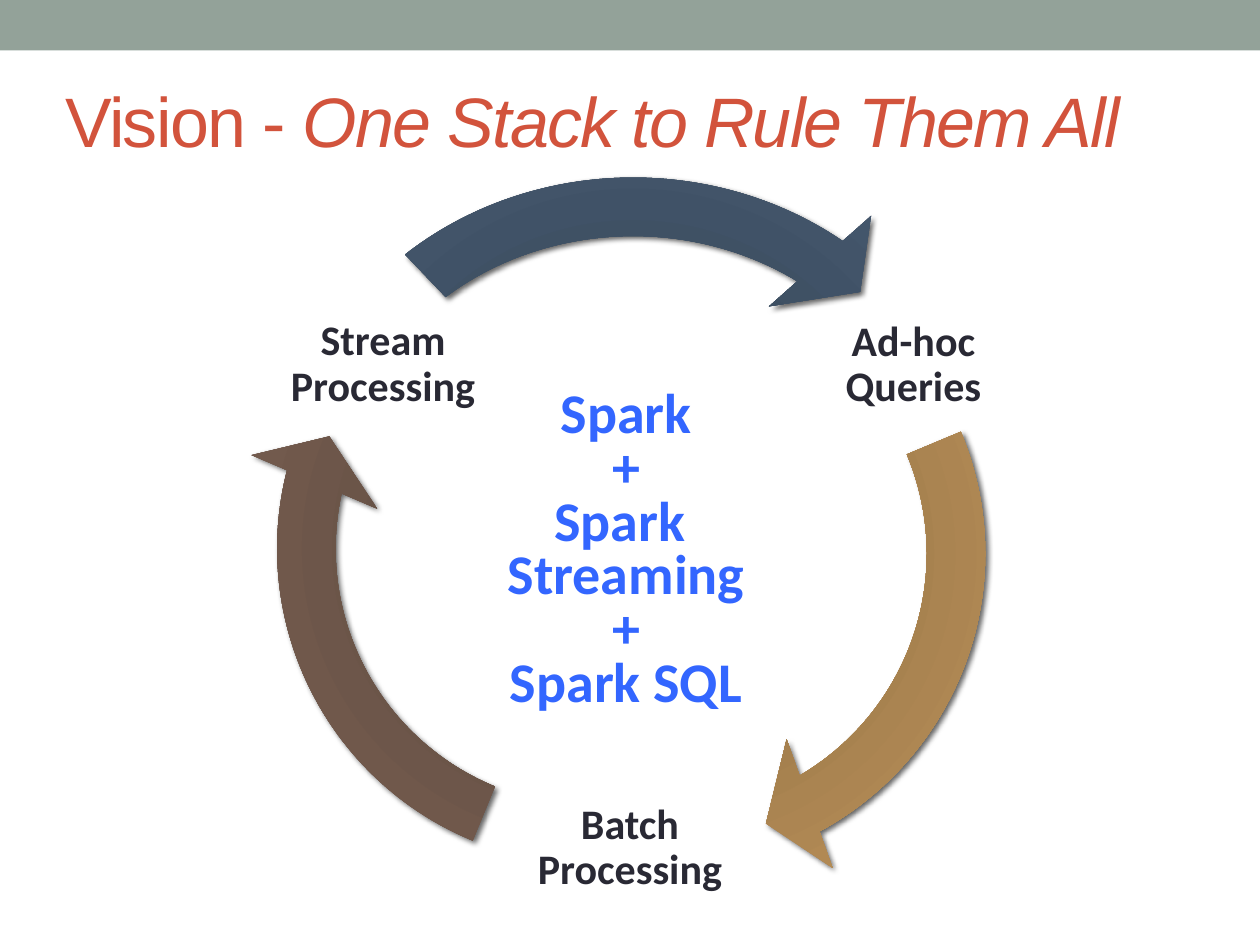
from lxml.etree import SubElement
from pptx import Presentation
from pptx.dml.color import RGBColor
from pptx.enum.shapes import MSO_SHAPE
from pptx.enum.text import MSO_ANCHOR, MSO_AUTO_SIZE, PP_ALIGN
from pptx.oxml import parse_xml
from pptx.oxml.ns import nsdecls, qn
from pptx.util import Inches, Pt

SAGE = RGBColor(0x93, 0xA2, 0x99)
RED = RGBColor(0xD2, 0x53, 0x3C)
INK = RGBColor(0x29, 0x29, 0x34)
BLUE = RGBColor(0x33, 0x66, 0xFF)

TITLE = [("Vision - ", False), ("One Stack to Rule Them All", True)]
STACK = ["Spark", "+", "Spark ", "Streaming", "+", "Spark SQL"]
# text, (left, top, width, height), anchor
LABELS = [
    ("Ad-hoc Queries", (6.2, 2.51, 2.1, 1.1), MSO_ANCHOR.TOP),
    ("Batch Processing", (4.03, 5.97, 1.94, 1.53), MSO_ANCHOR.MIDDLE),
    ("Stream Processing", (1.92, 2.38, 2.24, 1.03), MSO_ANCHOR.MIDDLE),
]
# (left, top, width, height), rotation, start and end angle in degrees, gradient colours
ARROWS = [
    ((2.5, 1.58, 5.63, 5.63), 356.8, 340.48, 63.94, ("A37D49", "A07C4C", "B38B55", "AD8F67")),
    ((1.89, 1.54, 5.63, 5.63), 0, 112.37, 193.49, ("685044", "665145", "725A4D", "726056")),
    ((1.95, 1.1, 6.15, 5.63), 0, 226.3, 308.84, ("3B4D61", "3C4D60", "43566B", "4C5A6A")),
]
GRADIENT_STOPS = (0, 34, 70, 100)
BAND, HEAD_WIDTH, HEAD_ANGLE = 0.08249, 0.09624, 9.59
ANGLE_UNIT = 0.6  # one degree is 60000 units; adjustments count in 100000


def set_margins(frame, horizontal, vertical):
    frame.margin_left = frame.margin_right = Inches(horizontal)
    frame.margin_top = frame.margin_bottom = Inches(vertical)


def set_font(font, name, size, color, bold=False):
    font.name, font.size, font.bold = name, Pt(size), bold
    font.color.rgb = color


def add_text(slide, lines, place, size, color, spacing):
    box = slide.shapes.add_textbox(*map(Inches, place))
    frame = box.text_frame
    frame.text = "\n".join(lines)
    for para in frame.paragraphs:
        para.alignment = PP_ALIGN.CENTER
        para.line_spacing = spacing
        for span in para.runs:
            set_font(span.font, "Calibri", size, color, bold=True)
    return frame


def paint_arrow(arrow, colors):
    """Give the arrow a circular gradient and a soft shadow."""
    stops = "".join(
        f'<a:gs pos="{stop * 1000}"><a:srgbClr val="{color}"/></a:gs>'
        for stop, color in zip(GRADIENT_STOPS, colors)
    )
    fill = parse_xml(
        f'<a:gradFill {nsdecls("a")} rotWithShape="1"><a:gsLst>{stops}</a:gsLst>'
        '<a:path path="circle"><a:fillToRect l="100000" t="100000" r="100000" b="100000"/>'
        "</a:path></a:gradFill>"
    )
    arrow.line.fill.background()
    arrow.shadow.inherit = False
    properties = arrow._element.spPr
    properties.find(qn("a:prstGeom")).addnext(fill)
    shadow = SubElement(
        properties.find(qn("a:effectLst")), qn("a:outerShdw"),
        blurRad=str(Pt(3)), dist=str(Pt(2)), dir="2700000", rotWithShape="0",
    )
    color = SubElement(shadow, qn("a:srgbClr"), val="000000")
    SubElement(color, qn("a:alpha"), val="60000")


def add_arrow(slide, place, rotation, start, end, colors):
    arrow = slide.shapes.add_shape(MSO_SHAPE.CIRCULAR_ARROW, *map(Inches, place))
    arrow.rotation = rotation
    angles = [angle * ANGLE_UNIT for angle in (HEAD_ANGLE, end, start)]
    for index, value in enumerate([BAND, *angles, HEAD_WIDTH]):
        arrow.adjustments[index] = value
    paint_arrow(arrow, colors)


def add_title(slide):
    title = slide.shapes.title
    title.left, title.top, title.width, title.height = map(Inches, (0.5, 0.51, 9.08, 0.87))
    frame = title.text_frame
    frame.auto_size = MSO_AUTO_SIZE.NONE
    frame.vertical_anchor = MSO_ANCHOR.MIDDLE
    set_margins(frame, 0.02, 0.02)
    para = frame.paragraphs[0]
    para.alignment = PP_ALIGN.LEFT
    for text, italic in TITLE:
        span = para.add_run()
        span.text = text
        set_font(span.font, "Arial", 40, RED)
        span.font.italic = italic
        span._r.get_or_add_rPr().set("spc", "-100")


def main():
    deck = Presentation()
    deck.slide_width, deck.slide_height = Inches(10), Inches(7.5)
    slide = deck.slides.add_slide(deck.slide_layouts[5])

    band = slide.shapes.add_shape(MSO_SHAPE.RECTANGLE, 0, 0, deck.slide_width, Inches(0.4))
    band.shadow.inherit = False
    band.fill.solid()
    band.fill.fore_color.rgb = SAGE
    band.line.fill.background()
    add_title(slide)

    for arrow in ARROWS:
        add_arrow(slide, *arrow)
    for text, place, anchor in LABELS:
        frame = add_text(slide, [text], place, 24, INK, 0.9)
        frame.word_wrap = True
        frame.vertical_anchor = anchor
        set_margins(frame, 0.03, 0.03)

    stack = add_text(slide, STACK, (3.92, 3.05, 2.1, 2.69), 32, BLUE, 0.8)
    stack.word_wrap = False
    stack.auto_size = MSO_AUTO_SIZE.SHAPE_TO_FIT_TEXT
    deck.save("out.pptx")


if __name__ == "__main__":
    main()
